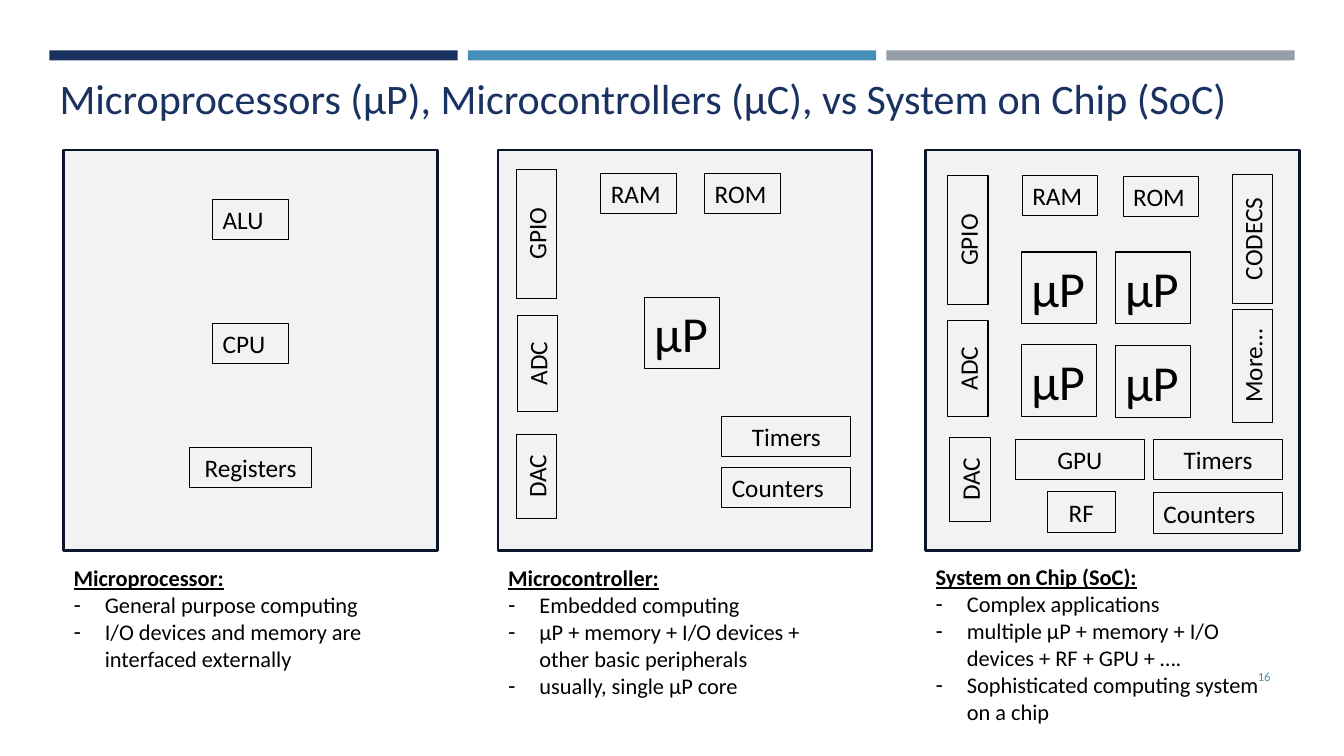
from pptx import Presentation
from pptx.dml.color import RGBColor
from pptx.enum.shapes import MSO_SHAPE
from pptx.enum.text import MSO_ANCHOR, MSO_AUTO_SIZE, PP_ALIGN
from pptx.util import Inches, Pt
from lxml.etree import SubElement
from pptx.oxml.ns import qn

# Content
TITLE = "Microprocessors (µP), Microcontrollers (µC), vs System on Chip (SoC)"
PAGE = "16"
BARS = [(0.49, "1A3260"), (4.64, "4590B8"), (8.79, "969FA7")]

# Panels: left, top of notes, height of notes, heading, points
PANELS = [
    (0.63, 5.55, 1.18, "Microprocessor:",
     ["General purpose computing",
      "I/O devices and memory are interfaced externally"]),
    (4.94, 5.55, 1.45, "Microcontroller:",
     ["Embedded computing",
      "µP + memory + I/O devices + other basic peripherals",
      "usually, single µP core"]),
    (9.18, 5.54, 1.72, "System on Chip (SoC):",
     ["Complex applications",
      "multiple µP + memory + I/O devices + RF + GPU + ….",
      "Sophisticated computing system on a chip"]),
]

# Level blocks: label, left, top
BLOCKS = [
    ("ALU", 2.11, 1.98), ("CPU", 2.11, 3.21), ("Registers", 1.88, 4.44),
    ("RAM", 5.96, 1.72), ("ROM", 6.99, 1.72), ("µP", 6.39, 2.95),
    ("Timers", 7.16, 4.13), ("Counters", 7.16, 4.64),
    ("RAM", 10.14, 1.74), ("ROM", 11.14, 1.75),
    ("µP", 10.13, 2.5), ("µP", 11.06, 2.5),
    ("µP", 10.13, 3.42), ("µP", 11.06, 3.43),
    ("GPU", 10.07, 4.36), ("Timers", 11.44, 4.36),
    ("RF", 10.39, 4.88), ("Counters", 11.44, 4.89),
]
# Upright blocks: label, left, top as seen
UPRIGHT = [
    ("GPIO", 5.12, 1.68), ("ADC", 5.13, 3.13), ("DAC", 5.12, 4.31),
    ("GPIO", 9.4, 1.74), ("ADC", 9.4, 3.18), ("DAC", 9.42, 4.34),
    ("CODECS", 12.22, 1.73), ("More…", 12.22, 3.07),
]
LENGTHS = {"Registers": 1.21, "Timers": 1.28, "Counters": 1.28, "GPU": 1.28,
           "RF": 0.67, "GPIO": 1.28, "ADC": 0.95, "DAC": 0.83,
           "CODECS": 1.28, "More…": 1.12}
SHORT = 0.75  # length of every other block
THICK = 0.4
LEFT = {"ALU", "CPU", "RAM", "ROM", "µP", "Counters"}


def color(code):
    return RGBColor.from_string(code)


def place(shape, x, y, w, h):
    shape.left, shape.top = Inches(x), Inches(y)
    shape.width, shape.height = Inches(w), Inches(h)


def style(para, size, code="000000", align=PP_ALIGN.LEFT):
    para.font.name, para.font.size = "Calibri", Pt(size)
    para.font.color.rgb = color(code)
    para.alignment = align


def setup(frame, anchor):
    frame.word_wrap = True
    frame.auto_size = MSO_AUTO_SIZE.NONE
    frame.vertical_anchor = anchor


def rect(x, y, w, h, fill=None, line=None, weight=0.75):
    shape = slide.shapes.add_shape(
        MSO_SHAPE.RECTANGLE, Inches(x), Inches(y), Inches(w), Inches(h))
    shape.shadow.inherit = False
    if fill:
        shape.fill.solid()
        shape.fill.fore_color.rgb = color(fill)
    else:
        shape.fill.background()
    if line:
        shape.line.color.rgb = color(line)
        shape.line.width = Pt(weight)
    else:
        shape.line.fill.background()
    return shape


def block(label, x, y, upright=False):
    length = LENGTHS.get(label, SHORT)
    thick = 0.71 if label == "µP" else THICK
    if upright:  # turn about the centre
        shift = (length - thick) / 2
        x, y = x - shift, y + shift
    shape = rect(x, y, length, thick, line="000000")
    shape.rotation = 270 if upright else 0
    setup(shape.text_frame, MSO_ANCHOR.TOP)
    para = shape.text_frame.paragraphs[0]
    para.text = label
    style(para, 36 if label == "µP" else 18,
          align=PP_ALIGN.LEFT if label in LEFT else PP_ALIGN.CENTER)


def bullet(para, mark=None):
    props = para._p.get_or_add_pPr()
    indent = Inches(0.31) if mark else 0
    props.set("marL", str(indent))
    props.set("indent", str(-indent))
    if mark:
        SubElement(props, qn("a:buChar"), char=mark)
    else:
        SubElement(props, qn("a:buNone"))


def notes(body, head, points):
    frame = body.text_frame
    setup(frame, MSO_ANCHOR.TOP)
    frame.text = "\n".join([head, *points])
    for i, para in enumerate(frame.paragraphs):
        style(para, 16)
        para.font.bold = para.font.underline = i == 0
        para.space_before = Pt(0)
        bullet(para, "-" if i else None)


deck = Presentation()
deck.slide_width, deck.slide_height = Inches(13.33), Inches(7.5)
slide = deck.slides.add_slide(deck.slide_layouts[4])
title, *bodies = slide.placeholders

# Header
for x, code in BARS:
    rect(x, 0.5, 4.05, 0.1, fill=code)
place(title, 0.49, 0.77, 12.54, 0.5)
title.text = TITLE
setup(title.text_frame, MSO_ANCHOR.BOTTOM)
style(title.text_frame.paragraphs[0], 30, "1A3260")

# Panels and their notes
for body, (x, y, h, head, points) in zip(bodies, PANELS):
    rect(x, 1.49, 3.71, 3.97, "F2F2F2", "0B162A", 1.75)
    place(body, x, y, 3.62, h)
    notes(body, head, points)
spare = bodies[-1].element
spare.getparent().remove(spare)

# Blocks
for item in BLOCKS:
    block(*item)
for item in UPRIGHT:
    block(*item, upright=True)

# Page number
page = slide.shapes.add_textbox(0, 0, 0, 0)
place(page, 11.55, 6.51, 1.15, 0.4)
setup(page.text_frame, MSO_ANCHOR.MIDDLE)
page.text_frame.text = PAGE
style(page.text_frame.paragraphs[0], 9, "4590B8", PP_ALIGN.RIGHT)

deck.save("out.pptx")
